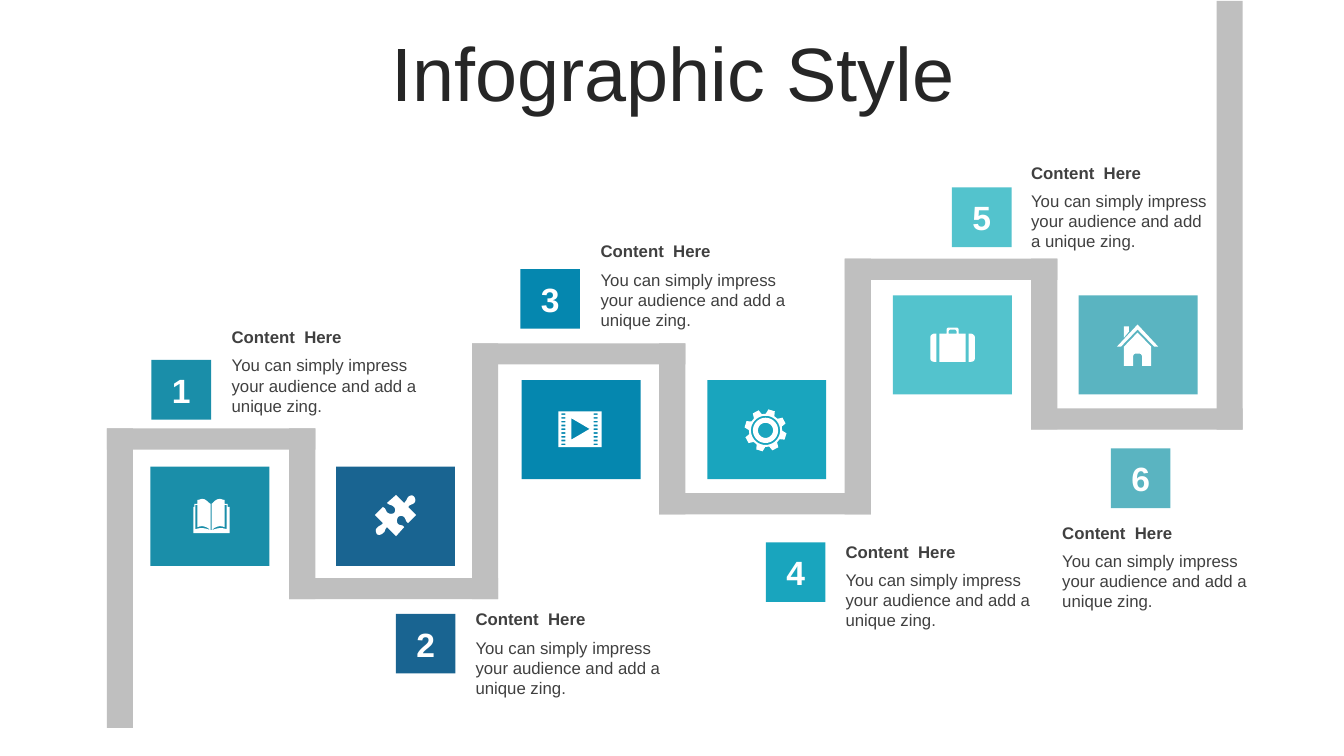
from math import cos, radians, sin
from pptx import Presentation
from pptx.dml.color import RGBColor
from pptx.enum.shapes import MSO_SHAPE as Kind
from pptx.enum.text import MSO_ANCHOR as Anchor, MSO_AUTO_SIZE as Fit, PP_ALIGN as Align
from pptx.util import Pt

HUES = {
    "title": "262626", "text": "404040", "white": "FFFFFF", "road": "BFBFBF",
    "teal": "1A8EA9", "navy": "196491", "blue": "0587AF",
    "cyan": "19A5BE", "aqua": "53C3CD", "mist": "5AB4C1",
}
UNIT = 0.72  # points per icon grid unit


def write(frame, text, size=12, hue="text", bold=False, align=Align.LEFT,
          anchor=Anchor.MIDDLE, fit=Fit.NONE):
    frame.word_wrap = True
    frame.auto_size = fit
    frame.vertical_anchor = anchor
    par = frame.paragraphs[0]
    par.alignment = align
    run = par.add_run()
    run.text = text
    run.font.name = "Arial"
    run.font.size = Pt(size)
    run.font.bold = bold
    run.font.color.rgb = RGBColor.from_string(HUES[hue])
    return par


def paint(shape, hue):
    """Give a shape a flat fill without line or shadow."""
    shape.shadow.inherit = False
    shape.fill.solid()
    shape.fill.fore_color.rgb = RGBColor.from_string(HUES[hue])
    shape.line.fill.background()
    return shape


deck = Presentation()
deck.slide_width, deck.slide_height = Pt(960), Pt(540)
slide = deck.slides.add_slide(deck.slide_layouts[5])
shapes = slide.shapes

title = shapes.title
title.left, title.top, title.width, title.height = Pt(25), Pt(26.6), Pt(911.5), Pt(57)
par = write(title.text_frame, "Infographic Style", size=54, hue="title", align=Align.CENTER)
par.line_spacing = 0.9

# Road: each post runs from one level to the next, joined by a beam
posts = [76.3, 206.6, 337.2, 470.9, 603.4, 736.6, 869]
levels = [520, 306, 428, 245.2, 367.4, 184.8, 306.8, 0.7]
thick, beam = 18.7, 15.1
bars = []
for i, x in enumerate(posts):
    top, low = sorted(levels[i:i + 2])
    bars.append((x, top, thick, low - top))
    if i < len(posts) - 1:
        y = levels[i + 1] - (beam if i % 2 else 0)
        bars.append((x, y, posts[i + 1] + thick - x, beam))
for box in bars:
    paint(shapes.add_shape(Kind.RECTANGLE, *map(Pt, box)), "road")

# Icon outlines: M starts, L draws lines, C draws cubic curves
book = [
    "M 17,5 C 13,2 12,0 9,0 7,0 6,1 4,1 L 4,5 1,5 1,8 0,8 0,34 36,34 36,8 34,8 34,5 31,5 31,1 "
    "C 29,1 28,0 26,0 23,0 21,2 18,5",
    "M 4,6 L 2,6 2,30 C 8,28 12,29 17,31 13,27 8,26 4,28",
    "M 31,6 L 33,6 33,30 C 27,28 24,29 18,31 22,27 27,26 31,28",
    "M 17,5 L 18,5 18,31 17,31",
]
puzzle = [
    "M 39,2 C 40,3 41,6 39,8 37,10 35,9 33,12 L 41,20 33,28 "
    "C 30,26 31,24 29,22 27,20 24,21 23,22 22,24 21,26 23,29 26,31 27,29 29,32 L 21,41 12,32 "
    "C 9,35 11,36 8,38 6,40 3,40 2,39 1,37 0,34 2,33 4,30 6,31 8,28 L 0,20 8,12 "
    "C 12,14 10,16 13,18 15,19 17,19 19,18 20,17 21,14 19,12 16,9 15,11 12,8 L 21,0 29,8 "
    "C 32,5 31,5 33,2 35,0 38,0 39,2",
]
film = ["M 0,0 L 43,0 43,35.5 0,35.5", "M 13,7 L 13,28 31,17.5"]
for x in (3, 35):
    for row in range(9):
        y = 2 + 3.75 * row
        film.append(f"M {x},{y} L {x + 4},{y} {x + 4},{y + 1.6} {x},{y + 1.6}")
case = [
    "M 38,6 L 40,6 C 42,6 44,8 44,9 L 44,31 C 44,33 42,34 40,34 L 38,34",
    "M 4,6 L 6,6 6,34 4,34 C 2,34 0,33 0,31 L 0,9 C 0,8 2,6 4,6",
    "M 20,2 C 19,2 18,3 18,4 L 18,6 26,6 26,4 C 26,3 25,2 24,2",
    "M 18,0 L 26,0 C 27,0 28,1 28,2 L 28,6 35,6 35,34 9,34 9,6 16,6 16,2 C 16,1 17,0 18,0",
]
house = [
    "M 20.5,8 L 34,22 34,41 25,41 25,32 C 25,31 24,29 23,29 L 18,29 C 17,29 16,31 16,32 "
    "L 16,41 7,41 7,22",
    "M 7,2 L 12,2 12,7 7,13",
    "M 20.5,0 L 41,22 37,22 20.5,5 4,22 0,22",
]
# Gear: eight teeth and three rings, as radius and angle around the centre
teeth = [(r, 45 * k + a) for k in range(8) for r, a in ((21, 8), (21, 26), (16.5, 32), (16.5, 46))]
rings = [[(r, a) for a in range(0, 360, 10)] for r in (14.5, 12.5, 7.5)]
gear = []
for ring in [teeth] + rings:
    dots = [f"{r * cos(radians(a)):.2f},{r * sin(radians(a)):.2f}" for r, a in ring]
    gear.append(f"M {dots[0]} L " + " ".join(dots[1:]))

# hue, tile top, badge corner, text corner, text width, icon, icon corner
steps = [
    ("teal", 333.4, (108.2, 257.1), (158.4, 229.7), 149, book, (138.2, 356.4)),
    ("navy", 333.4, (282.7, 438.4), (332.6, 431.3), 149, puzzle, (267.8, 353.5)),
    ("blue", 271.5, (371.7, 192.2), (421.9, 168.5), 149, film, (398.9, 293.8)),
    ("cyan", 271.5, (547, 387.4), (596.9, 383), 149, gear, (546.8, 307.4)),
    ("aqua", 211, (680, 133.9), (729.4, 112.3), 142.6, case, (664.6, 234)),
    ("mist", 211, (793.5, 320.3), (751.7, 369.4), 149, house, (797.8, 231.8)),
]
for i, (hue, top, badge, spot, wide, icon, home) in enumerate(steps):
    tile = (107.4 + 132.6 * i, top, 85, 70.8)
    paint(shapes.add_shape(Kind.RECTANGLE, *map(Pt, tile)), hue)

    mark = paint(shapes.add_shape(Kind.RECTANGLE, *map(Pt, (*badge, 42.6, 42.6))), hue)
    write(mark.text_frame, str(i + 1), size=24, hue="white", bold=True, align=Align.CENTER)

    x, y = spot
    head = shapes.add_textbox(Pt(x), Pt(y), Pt(wide), Pt(21.8))
    write(head.text_frame, "Content  Here", bold=True, fit=Fit.SHAPE_TO_FIT_TEXT)
    body = shapes.add_textbox(Pt(x), Pt(y + 20.4), Pt(wide), Pt(50.9))
    write(body.text_frame, "You can simply impress your audience and add a unique zing.",
          anchor=Anchor.TOP, fit=Fit.SHAPE_TO_FIT_TEXT)

    pen = None
    for line in icon:
        dots, curve, mode = [], [], "M"
        for word in line.split():
            if word in "MLC":
                mode = word
                continue
            dot = tuple(float(n) * Pt(UNIT) for n in word.split(","))
            if mode != "C":
                dots.append(dot)
                continue
            curve.append(dot)
            if len(curve) == 3:
                ends = list(zip(dots[-1], *curve))
                for t in (0.2, 0.4, 0.6, 0.8, 1):
                    u = 1 - t
                    dots.append(tuple(a * u**3 + 3 * b * u * u * t + 3 * c * u * t * t + d * t**3
                                      for a, b, c, d in ends))
                curve = []
        if pen is None:
            pen = shapes.build_freeform(*dots[0])
        else:
            pen.move_to(*dots[0])
        pen.add_line_segments(dots[1:], close=True)
    paint(pen.convert_to_shape(*map(Pt, home)), "white")

deck.save("out.pptx")
